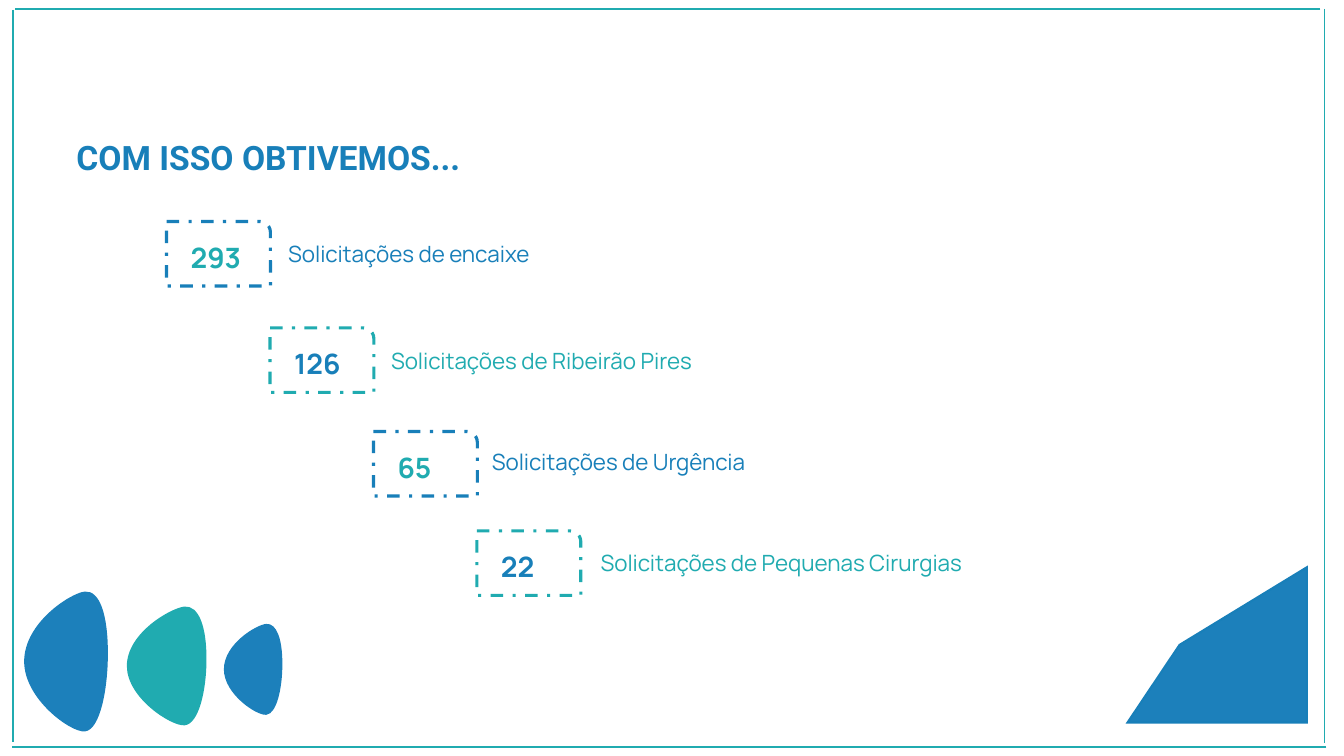
import lxml.etree
import pptx
import pptx.dml.color
import pptx.enum.dml
import pptx.enum.shapes
import pptx.enum.text
import pptx.oxml
import pptx.oxml.ns
import pptx.util

Pt = pptx.util.Pt
RGBColor = pptx.dml.color.RGBColor
qn = pptx.oxml.ns.qn

BLUE = RGBColor(0x18, 0x7F, 0xB9)
LEAF_BLUE = RGBColor(0x1C, 0x80, 0xBB)
TEAL = RGBColor(0x20, 0xAB, 0xB0)

# Leaf outline in a unit box: cubic curves that start and end at the left tip.
LEAF_CURVES = [
    ((0, 0.22), (0.57, 0.01), (0.73, 0)),
    ((0.9, -0.01), (1, 0.16), (1, 0.44)),
    ((1, 0.71), (0.9, 0.99), (0.73, 1)),
    ((0.57, 1.01), (0, 0.77), (0, 0.5)),
]
LEAF_ENDS = [(0, 0.5)] + [curve[-1] for curve in LEAF_CURVES]
CORNER_OUTLINE = [(0.29, 0.5), (1, 0), (1, 1), (0, 1)]

# Number, label, box top, label left, label top, label width
RESULTS = [
    ("293", "Solicitações de encaixe", 158.2, 198.7, 168.2, 260.6),
    ("126", "Solicitações de Ribeirão Pires", 234.2, 272.2, 244.1, 260.6),
    ("65", "Solicitações de Urgência", 308.2, 344.2, 316.8, 260.6),
    ("22", "Solicitações de Pequenas Cirurgias", 379.2, 421.9, 388.8, 302.4),
]
FIRST_BOX_LEFT = 119
BOX_STEP = 73.9


def add_outline(slide, outline, left, top, width, height, fill, line):
    """Draw a filled polygon whose unit-box points are scaled to the given box."""
    points = [(Pt(left + x * width), Pt(top + y * height)) for x, y in outline]
    builder = slide.shapes.build_freeform(*points[0], scale=1.0)
    builder.add_line_segments(points[1:], close=True)
    shape = builder.convert_to_shape()
    shape.shadow.inherit = False
    shape.fill.solid()
    shape.fill.fore_color.rgb = fill
    shape.line.color.rgb = line
    shape.line.width = Pt(1.5)
    miter = lxml.etree.SubElement(shape._element.spPr.find(qn("a:ln")), qn("a:miter"))
    miter.set("lim", "800000")
    return shape


def add_leaf(slide, left, top, width, height, color):
    """Draw the leaf's corners as a polygon, then bend its sides into curves."""
    leaf = add_outline(slide, LEAF_ENDS, left, top, width, height, color, color)
    sides = list(leaf._element.iter(qn("a:lnTo")))
    for side, curve in zip(sides, LEAF_CURVES):
        bend = lxml.etree.Element(qn("a:cubicBezTo"))
        for x, y in curve:
            point = lxml.etree.SubElement(bend, qn("a:pt"))
            point.set("x", str(Pt(x * width)))
            point.set("y", str(Pt(y * height)))
        side.getparent().replace(side, bend)


def add_frame(slide, left, top, right, bottom):
    """Draw four separate border lines that stop just short of some corners."""
    for ends in [
        (left, top + 0.7, left, bottom - 3.6),
        (right, top, right, bottom - 2.9),
        (right - 2.9, top, left + 1.4, top),
        (right + 1.4, bottom, left - 0.7, bottom),
    ]:
        connector = slide.shapes.add_connector(
            pptx.enum.shapes.MSO_CONNECTOR.STRAIGHT, *(Pt(value) for value in ends))
        connector.line.color.rgb = TEAL
        connector.line.width = Pt(1)
        lxml.etree.SubElement(connector._element.spPr, qn("a:effectLst"))


def write_text(shape, text, font_name, size, color, bold=False):
    frame = shape.text_frame
    frame.word_wrap = True
    frame.vertical_anchor = pptx.enum.text.MSO_ANCHOR.TOP
    frame.text = text
    paragraph = frame.paragraphs[0]
    paragraph.alignment = pptx.enum.text.PP_ALIGN.LEFT
    paragraph.font.name = font_name
    paragraph.font.size = Pt(size)
    paragraph.font.bold = bold
    paragraph.font.color.rgb = color


def add_text(slide, left, top, width, height, text, size, color, bold=False):
    text_box = slide.shapes.add_textbox(Pt(left), Pt(top), Pt(width), Pt(height))
    write_text(text_box, text, "Manrope", size, color, bold)


def add_title(slide, left, top, width, height):
    title = slide.shapes.title
    title.left, title.top = Pt(left), Pt(top)
    title.width, title.height = Pt(width), Pt(height)
    write_text(title, "COM ISSO OBTIVEMOS...", "Roboto", 24, BLUE, bold=True)


def add_number_box(slide, left, top, number, number_color, line_color):
    add_text(slide, left + 10.1, top + 10.1, 59.8, 31.7, number, 20, number_color, bold=True)
    box = slide.shapes.add_shape(
        pptx.enum.shapes.MSO_SHAPE.ROUND_1_RECTANGLE, Pt(left), Pt(top), Pt(74.2), Pt(46.1))
    box.shadow.inherit = False
    box.fill.background()
    box.line.color.rgb = line_color
    box.line.width = Pt(2.25)
    box.line.dash_style = pptx.enum.dml.MSO_LINE.DASH_DOT


def add_results(slide, left):
    """Place the results as a staircase, swapping the two colours at each step."""
    for index, result in enumerate(RESULTS):
        number, label, box_top, label_left, label_top, label_width = result
        main_color, accent = (BLUE, TEAL) if index % 2 == 0 else (TEAL, BLUE)
        add_text(slide, label_left, label_top, label_width, 26.6, label, 16, main_color)
        add_number_box(slide, left + index * BOX_STEP, box_top, number, accent, main_color)


def main():
    presentation = pptx.Presentation()
    presentation.slide_width = Pt(960)
    presentation.slide_height = Pt(540)
    slide = presentation.slides.add_slide(presentation.slide_layouts[5])

    add_leaf(slide, 18, 423.3, 58.3, 98.4, LEAF_BLUE)
    add_outline(slide, CORNER_OUTLINE, 805.4, 405.2, 128.1, 110.9, LEAF_BLUE, BLUE)
    add_frame(slide, 9.4, 6.3, 946.1, 533.5)
    add_leaf(slide, 91.4, 434, 55.4, 83.3, TEAL)
    add_leaf(slide, 160.7, 446.4, 40.3, 63.4, LEAF_BLUE)
    add_title(slide, 47.4, 94.3, 298.8, 36)
    add_results(slide, FIRST_BOX_LEFT)
    presentation.save("out.pptx")


if __name__ == "__main__":
    main()
